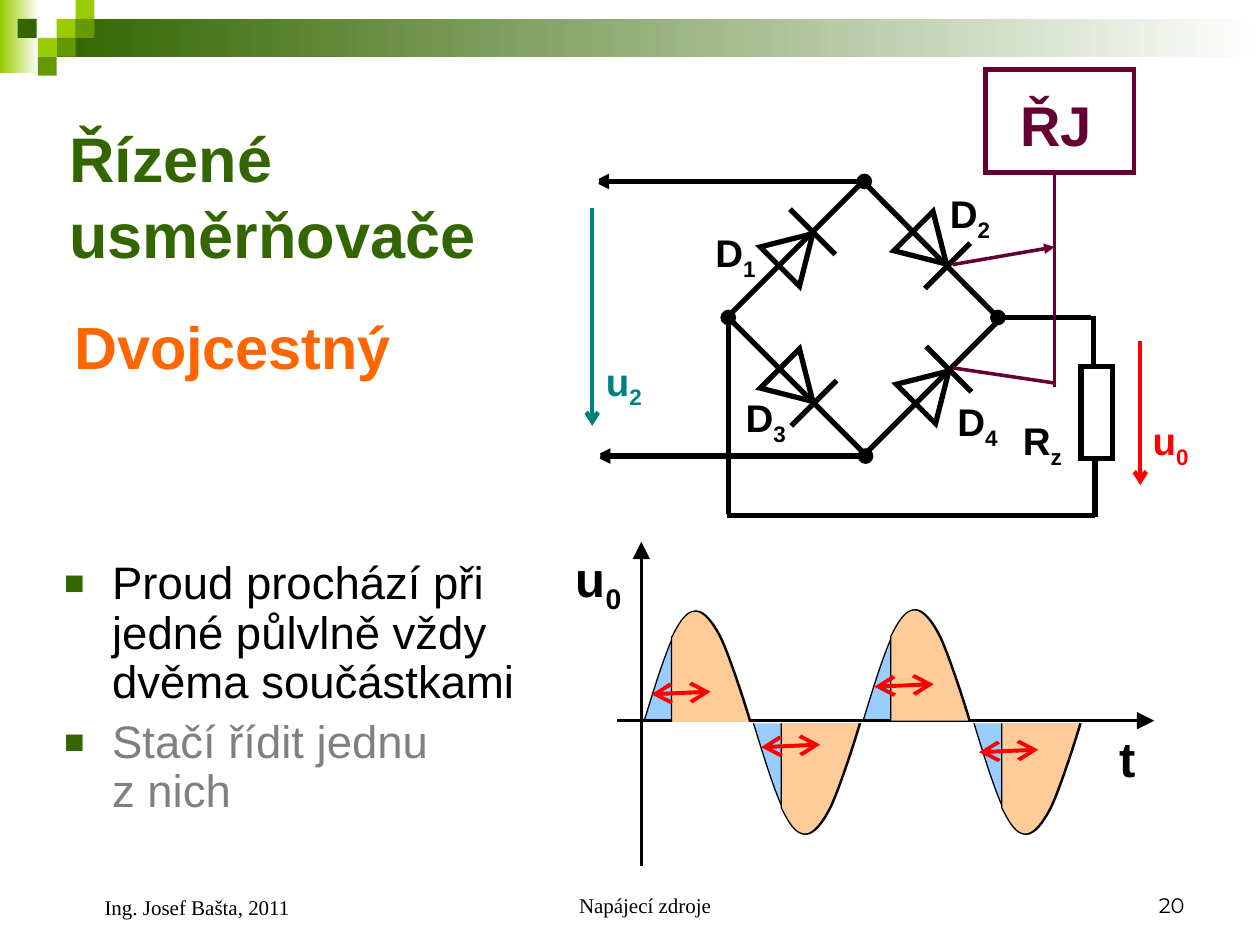
import lxml.etree
import pptx
import pptx.dml.color
import pptx.enum.shapes
import pptx.enum.text
import pptx.oxml.ns
import pptx.util

RGB = pptx.dml.color.RGBColor
SHAPE = pptx.enum.shapes.MSO_SHAPE
ALIGN = pptx.enum.text.PP_ALIGN
ANCHOR = pptx.enum.text.MSO_ANCHOR
qn = pptx.oxml.ns.qn
Pt = pptx.util.Pt

PX = 9144
BLACK = RGB(0x00, 0x00, 0x00)
WHITE = RGB(0xFF, 0xFF, 0xFF)
LIME = RGB(0x99, 0xCC, 0x00)
OLIVE = RGB(0x66, 0x99, 0x00)
GREEN = RGB(0x33, 0x66, 0x00)
ORANGE = RGB(0xFF, 0x66, 0x00)
GRAY = RGB(0x80, 0x80, 0x80)
BLUE = RGB(0x99, 0xCC, 0xFF)
PEACH = RGB(0xFF, 0xCC, 0x99)
RED = RGB(0xFF, 0x00, 0x00)
TEAL = RGB(0x00, 0x80, 0x80)
PLUM = RGB(0x66, 0x00, 0x33)

RISE = [(0, 88), (8, 62), (16, 36)]
CREST = [(23, 21), (30, 7), (35, 0), (42, 0),
         (48, 0), (55, 8), (62, 22),
         (69, 37), (82, 77), (85, 88)]


def emu(box, x, y):
    return (box[0] + x) * PX, (box[1] + y) * PX


def format_run(run, size, color, bold=False, font="Arial"):
    run.font.size = Pt(size)
    run.font.name = font
    run.font.bold = bold
    run.font.color.rgb = color


def paint(shape, fill=None, line=None, width=0.75):
    shape.shadow.inherit = False
    if fill is None:
        shape.fill.background()
    else:
        shape.fill.solid()
        shape.fill.fore_color.rgb = fill
    if line is None:
        shape.line.fill.background()
    else:
        shape.line.color.rgb = line
        shape.line.width = Pt(width)
        lxml.etree.SubElement(shape.line._get_or_add_ln(), qn("a:miter"), lim="800000")


def add_block(slide, box, kind, x, y, w, h, **style):
    block = slide.shapes.add_shape(kind, *emu(box, x, y), w * PX, h * PX)
    paint(block, **style)
    return block


def add_line(slide, box, x1, y1, x2, y2, color=BLACK, width=3, head=None, tail=None,
             tip="med"):
    wire = slide.shapes.add_connector(pptx.enum.shapes.MSO_CONNECTOR.STRAIGHT,
                                      *emu(box, x1, y1), *emu(box, x2, y2))
    wire.line.color.rgb = color
    wire.line.width = Pt(width)
    outline = wire.line._get_or_add_ln()
    for tag, end in (("a:headEnd", head), ("a:tailEnd", tail)):
        if end:
            lxml.etree.SubElement(outline, qn(tag), type=end, w=tip, len=tip)
    lxml.etree.SubElement(wire._element.spPr, qn("a:effectLst"))


def add_label(slide, box, x, y, w, h, text, size, color=BLACK, sub="", bold=True,
              font="Arial", anchor=ANCHOR.TOP, align=ALIGN.LEFT, inset=10):
    frame = slide.shapes.add_textbox(*emu(box, x, y), w * PX, h * PX).text_frame
    frame.word_wrap = True
    frame.vertical_anchor = anchor
    frame.margin_left = inset * PX
    frame.text = text
    paragraph = frame.paragraphs[0]
    paragraph.alignment = align
    if sub:
        subscript = paragraph.add_run()
        subscript.text = sub
        subscript.font._element.set("baseline", "-25000")
    for run in paragraph.runs:
        format_run(run, size, color, bold, font)


def add_header(slide, box):
    for x, y, w, h, color in ((0, 0, 31, 58, LIME), (45, 15, 955, 30, GREEN)):
        band = add_block(slide, box, SHAPE.RECTANGLE, x, y, w, h)
        band.fill.gradient()
        band.fill.gradient_angle = 180
        for position, (stop, shade) in enumerate(zip(band.fill.gradient_stops,
                                                     (WHITE, color))):
            stop.color.rgb = shade
            stop.position = position
    for x, y, color in ((45, 15, LIME), (60, 0, LIME), (60, 15, OLIVE), (30, 30, LIME),
                        (14, 15, GREEN), (45, 30, OLIVE), (30, 45, OLIVE)):
        add_block(slide, box, SHAPE.RECTANGLE, x, y, 15, 15, fill=color)


def place(holder, box):
    holder.left, holder.top, holder.width, holder.height = (side * PX for side in box)
    holder.text_frame.auto_size = pptx.enum.text.MSO_AUTO_SIZE.NONE
    holder.text_frame.word_wrap = True


def fill_title(slide, box):
    title = slide.shapes.title
    place(title, box)
    title.text_frame.text = "Řízené usměrňovače"
    title.text_frame.vertical_anchor = ANCHOR.MIDDLE
    title.text_frame.paragraphs[0].alignment = ALIGN.LEFT
    format_run(title.text_frame.paragraphs[0].runs[0], 36, GREEN, True)


def fill_notes_list(slide, box):
    body = slide.placeholders[1]
    place(body, box)
    points = (("Proud prochází při jedné půlvlně vždy dvěma součástkami", BLACK, 0),
              ("Stačí řídit jednu \vz nich", GRAY, 6.5))
    body.text_frame.text = "\n".join(text for text, _, _ in points)
    for paragraph, (_, color, gap) in zip(body.text_frame.paragraphs, points):
        properties = paragraph._p.get_or_add_pPr()
        properties.set("marL", str(38 * PX))
        properties.set("indent", str(-38 * PX))
        bullet_color = lxml.etree.SubElement(properties, qn("a:buClr"))
        lxml.etree.SubElement(bullet_color, qn("a:srgbClr"), val=str(GREEN))
        lxml.etree.SubElement(properties, qn("a:buSzPct"), val="75000")
        lxml.etree.SubElement(properties, qn("a:buFont"), typeface="Arial")
        lxml.etree.SubElement(properties, qn("a:buChar"), char="■")
        paragraph.line_spacing = 0.9
        paragraph.space_before = Pt(gap)
        for run in paragraph.runs:
            format_run(run, 26, color)
        for line_break in paragraph._p.findall(qn("a:br")):
            lxml.etree.SubElement(line_break, qn("a:rPr"), sz="2600")


def add_half_wave(slide, box, knots, positive, color, straight=0):
    corners = [emu(box, x, y if positive else 88 - y) for x, y in knots]
    builder = slide.shapes.build_freeform(*corners[0])
    builder.add_line_segments(corners[1:], close=False)
    wave = builder.convert_to_shape()
    paint(wave, fill=color, line=BLACK)
    segments = list(wave._element.iter(qn("a:lnTo")))[straight:]
    for first in range(0, len(segments), 3):
        curve = lxml.etree.Element(qn("a:cubicBezTo"))
        segments[first].addprevious(curve)
        for segment in segments[first:first + 3]:
            curve.append(segment[0])
            segment.getparent().remove(segment)


def add_waveform(slide, box):
    halves = ((71, 55, True), (158, 144, False), (245, 54, True), (333, 144, False))
    for x, y, positive in halves:
        add_half_wave(slide, (box[0] + x, box[1] + y), RISE + CREST, positive, BLUE)
    add_line(slide, box, 50, 142, 476, 142, width=1.5, tail="triangle", tip="lg")
    add_line(slide, box, 69, 257, 69, 0, width=1.5, tail="triangle", tip="lg")
    add_label(slide, box, 7, 0, 71, 63, "u", 28, sub="0")
    add_label(slide, box, 439, 143, 48, 57, "t", 28)
    for x, y, positive in halves:
        add_half_wave(slide, (box[0] + x - 1, box[1] + y), [(23, 88)] + CREST,
                      positive, PEACH, straight=1)
    for x, y in ((77, 121), (164, 163), (337, 167), (254, 115)):
        add_line(slide, box, x, y, x + 47, y - 2, RED, 2.25, "arrow", "arrow", "lg")


def add_diode(slide, box, wire, x, y, rotation):
    add_line(slide, box, *wire)
    triangle = add_block(slide, box, SHAPE.ISOSCELES_TRIANGLE, x, y, 44, 37,
                         line=BLACK, width=3)
    triangle.rotation = rotation
    x1, y1, x2, y2 = (17, -14, 53, 22) if rotation == 45 else (54, 15, 18, 51)
    add_line(slide, box, x + x1, y + y1, x + x2, y + y2)


def add_circuit(slide, box):
    for x, y in ((11, 94), (12, 312)):
        add_line(slide, box, x, y, x + 215, y, head="triangle", tail="oval")
        add_block(slide, box, SHAPE.OVAL, x - 5, y - 5, 9, 9, fill=WHITE, line=WHITE)
    add_block(slide, box, SHAPE.RECTANGLE, 398, 241, 25, 73, line=BLACK, width=3)
    for wire in ((408, 201, 408, 240), (409, 316, 409, 360), (117, 359, 409, 359)):
        add_line(slide, box, *wire)
    for wire, x, y, rotation in (((224, 93, 333, 203), 256, 128, 135),
                                 ((227, 310, 335, 202), 258, 239, 45),
                                 ((118, 201, 226, 93), 150, 130, 45),
                                 ((118, 202, 228, 312), 150, 237, 135)):
        add_diode(slide, box, wire, x, y, rotation)
    for wire in ((332, 202, 406, 202), (118, 202, 118, 358)):
        add_line(slide, box, *wire, head="oval")
    add_line(slide, box, 10, 115, 10, 288, TEAL, 2.5, tail="arrow")
    add_line(slide, box, 445, 221, 445, 335, RED, 2.5, tail="arrow")
    for x, y, w, text, sub, color in ((98, 127, 58, "D", "1", BLACK),
                                      (284, 96, 58, "D", "2", BLACK),
                                      (122, 258, 58, "D", "3", BLACK),
                                      (290, 261, 58, "D", "4", BLACK),
                                      (342, 276, 53, "R", "z", BLACK),
                                      (11, 229, 60, "u", "2", TEAL),
                                      (445, 276, 71, "u", "0", RED)):
        add_label(slide, box, x, y, w, 52, text, 22, color, sub)
    add_block(slide, box, SHAPE.RECTANGLE, 322, 5, 118, 82, line=PLUM, width=2.75)
    add_line(slide, box, 296, 160, 377, 146, PLUM, 2, tail="triangle")
    add_line(slide, box, 296, 242, 377, 254, PLUM, 2)
    add_line(slide, box, 377, 257, 377, 89, PLUM, 2)
    add_label(slide, box, 340, 17, 98, 64, "ŘJ", 32, PLUM)


def add_footer(slide, box):
    serif = "Times New Roman"
    for x, w, h, text, font, align, inset in (
            (292, 317, 50, "Napájecí zdroje", serif, ALIGN.CENTER, 33),
            (667, 233, 50, "20", "Montserrat", ALIGN.RIGHT, 10),
            (0, 233, 52, "Ing. Josef Bašta, 2011", serif, ALIGN.LEFT, 33)):
        add_label(slide, box, x, 0, w, h, text, 12, bold=False, font=font,
                  anchor=ANCHOR.BOTTOM, align=align, inset=inset)


def main():
    deck = pptx.Presentation()
    deck.slide_width, deck.slide_height = 1000 * PX, 750 * PX
    slide = deck.slides.add_slide(deck.slide_layouts[1])
    add_header(slide, (0, 0))
    fill_title(slide, (45, 83, 383, 144))
    fill_notes_list(slide, (41, 440, 393, 235))
    add_waveform(slide, (440, 430))
    add_label(slide, (49, 237), 0, 0, 325, 75, "Dvojcestný", 34, ORANGE, anchor=ANCHOR.MIDDLE)
    add_circuit(slide, (460, 50))
    add_footer(slide, (50, 683))
    deck.save("out.pptx")


if __name__ == "__main__":
    main()
